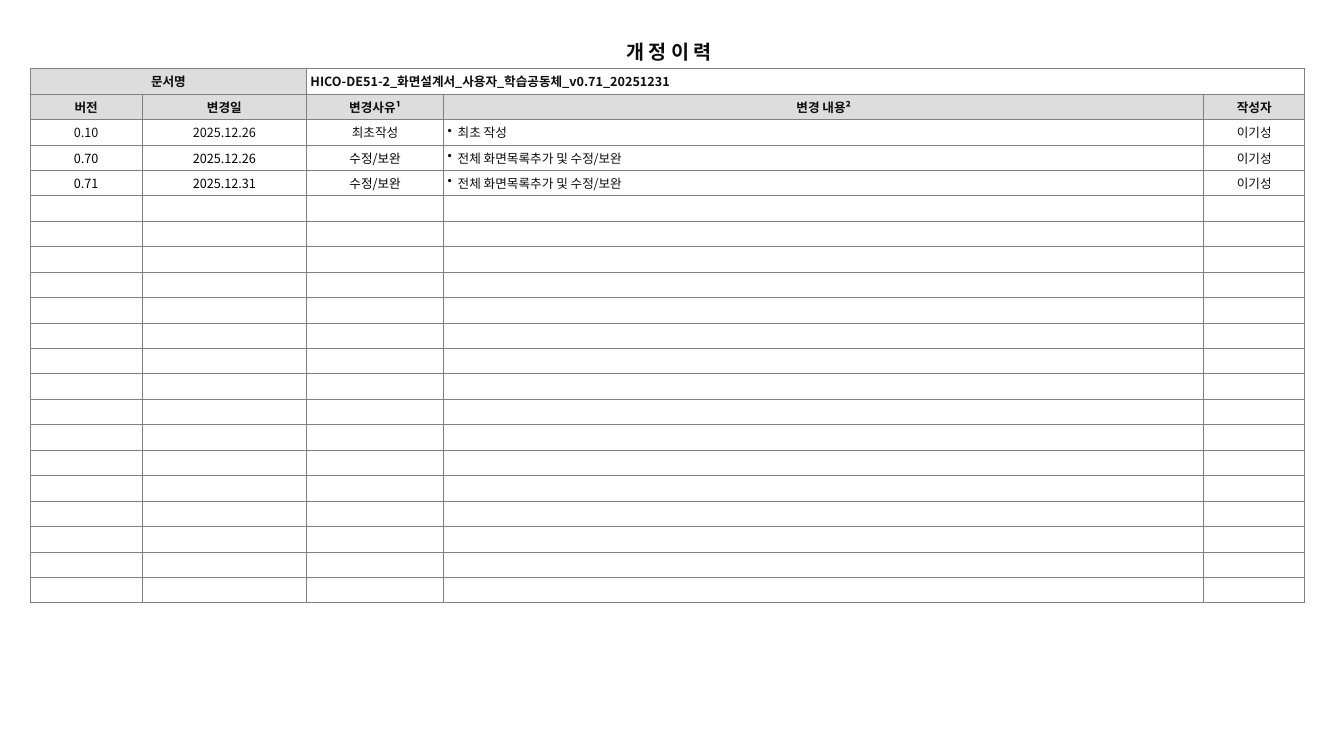
"""Build the revision history slide with its title and version table."""
from dataclasses import dataclass

import pptx
import pptx.dml.color
import pptx.enum.text
import pptx.oxml
import pptx.oxml.ns
import pptx.table
import pptx.text.text
import pptx.util

Inches = pptx.util.Inches
Align = pptx.enum.text.PP_ALIGN
Middle = pptx.enum.text.MSO_ANCHOR.MIDDLE


@dataclass(frozen=True)
class Theme:
    font: str = "Noto Sans CJK KR"
    ink: str = "0D0D0D"
    black: str = "000000"
    header: str = "DDDDDD"
    border: str = "808080"
    title_size: float = 14
    body_size: float = 9
    border_width: float = 0.5


@dataclass(frozen=True)
class Span:
    text: str
    color: str


@dataclass(frozen=True)
class Entry:
    spans: tuple[Span, ...]
    bold: bool = False
    filled: bool = False
    align: Align = Align.CENTER
    bullet: bool = False


@dataclass(frozen=True)
class Revision:
    version: str
    date: str
    reason: str
    content: str
    author: str
    color: str


THEME = Theme()
COLUMN_WIDTHS = (1.11, 1.63, 1.36, 7.54, 1.0)
ROW_COUNT = 21
TABLE_HEIGHT = 5.3
DOCUMENT_NAME = "HICO-DE51-2_화면설계서_사용자_학습공동체_v0.71_20251231"
HEADINGS = (("버전", ""), ("변경일", ""), ("변경사유", "¹"), ("변경 내용", "²"), ("작성자", ""))
REVISIONS = (
    Revision("0.10", "2025.12.26", "최초작성", "최초 작성", "이기성", THEME.ink),
    Revision("0.70", "2025.12.26", "수정/보완", "전체 화면목록추가 및 수정/보완", "이기성", THEME.black),
    Revision("0.71", "2025.12.31", "수정/보완", "전체 화면목록추가 및 수정/보완", "이기성", THEME.black),
)


def xml(markup: str):
    return pptx.oxml.parse_xml(markup.replace(" ", f" {pptx.oxml.ns.nsdecls('a')} ", 1))


def add_span(para: pptx.text.text._Paragraph, span: Span, size: float, bold: bool) -> None:
    run = para.add_run()
    run.text = span.text
    run.font.name = THEME.font
    run.font.size = pptx.util.Pt(size)
    run.font.bold = bold
    run.font.color.rgb = pptx.dml.color.RGBColor.from_string(span.color)
    run.font._element.append(xml(f'<a:ea typeface="{THEME.font}"/>'))


def format_cell(cell: pptx.table._Cell, filled: bool) -> None:
    cell.vertical_anchor = Middle
    cell.margin_left = cell.margin_right = Inches(0.04)
    cell.margin_top = cell.margin_bottom = Inches(0.03)
    properties = cell._tc.get_or_add_tcPr()
    width = pptx.util.Pt(THEME.border_width)
    for side in "LRTB":
        properties.append(xml(
            f'<a:ln{side} w="{width}"><a:solidFill><a:srgbClr val="{THEME.border}"/>'
            f'</a:solidFill></a:ln{side}>'))
    if filled:
        cell.fill.solid()
        cell.fill.fore_color.rgb = pptx.dml.color.RGBColor.from_string(THEME.header)
    else:
        cell.fill.background()


def write_entry(cell: pptx.table._Cell, entry: Entry) -> None:
    para = cell.text_frame.paragraphs[0]
    para.alignment = entry.align
    if entry.bullet:
        properties = para._p.get_or_add_pPr()
        properties.set("marL", str(Inches(0.1)))
        properties.set("indent", str(-Inches(0.1)))
        properties.append(xml('<a:buChar char="•"/>'))
    for span in entry.spans:
        add_span(para, span, THEME.body_size, entry.bold)


def table_entries() -> dict[tuple[int, int], Entry]:
    entries = {
        (0, 0): Entry((Span("문서명", THEME.ink),), bold=True, filled=True),
        (0, 2): Entry((Span(DOCUMENT_NAME, THEME.ink),), bold=True, align=Align.LEFT),
    }
    for column, (label, note) in enumerate(HEADINGS):
        spans = (Span(label, THEME.ink),)
        if note:
            spans += (Span(note, THEME.black),)
        entries[1, column] = Entry(spans, bold=True, filled=True)
    for row, revision in enumerate(REVISIONS, start=2):
        for column, text in enumerate((revision.version, revision.date, revision.reason)):
            entries[row, column] = Entry((Span(text, revision.color),))
        entries[row, 3] = Entry((Span(revision.content, THEME.ink),), align=Align.LEFT, bullet=True)
        entries[row, 4] = Entry((Span(revision.author, THEME.ink),))
    return entries


def add_title(page) -> None:
    title = page.shapes.title
    title.left, title.top = Inches(3.51), Inches(0.34)
    title.width, title.height = Inches(6.25), Inches(0.34)
    frame = title.text_frame
    frame.word_wrap = True
    frame.auto_size = pptx.enum.text.MSO_AUTO_SIZE.NONE
    frame.vertical_anchor = Middle
    frame.margin_top = frame.margin_bottom = 0
    frame.paragraphs[0].alignment = Align.CENTER
    add_span(frame.paragraphs[0], Span("개 정 이 력", THEME.ink), THEME.title_size, True)


def add_history(page) -> None:
    table = page.shapes.add_table(
        ROW_COUNT, len(COLUMN_WIDTHS), Inches(0.3), Inches(0.68),
        Inches(sum(COLUMN_WIDTHS)), Inches(TABLE_HEIGHT)).table
    table.first_row = table.horz_banding = False
    for column, width in zip(table.columns, COLUMN_WIDTHS):
        column.width = Inches(width)
    entries = table_entries()
    for row_index, row in enumerate(table.rows):
        row.height = Inches(TABLE_HEIGHT / ROW_COUNT)
        for column_index, cell in enumerate(row.cells):
            entry = entries.get((row_index, column_index))
            format_cell(cell, entry is not None and entry.filled)
            if entry:
                write_entry(cell, entry)
            else:
                ending = cell.text_frame.paragraphs[0]._p.get_or_add_endParaRPr()
                ending.set("sz", str(int(THEME.body_size * 100)))
    table.cell(0, 0).merge(table.cell(0, 1))
    table.cell(0, 2).merge(table.cell(0, 4))


def main() -> None:
    deck = pptx.Presentation()
    deck.slide_width, deck.slide_height = Inches(13.33), Inches(7.5)
    page = deck.slides.add_slide(deck.slide_layouts[5])
    add_title(page)
    add_history(page)
    deck.save("out.pptx")


if __name__ == "__main__":
    main()
